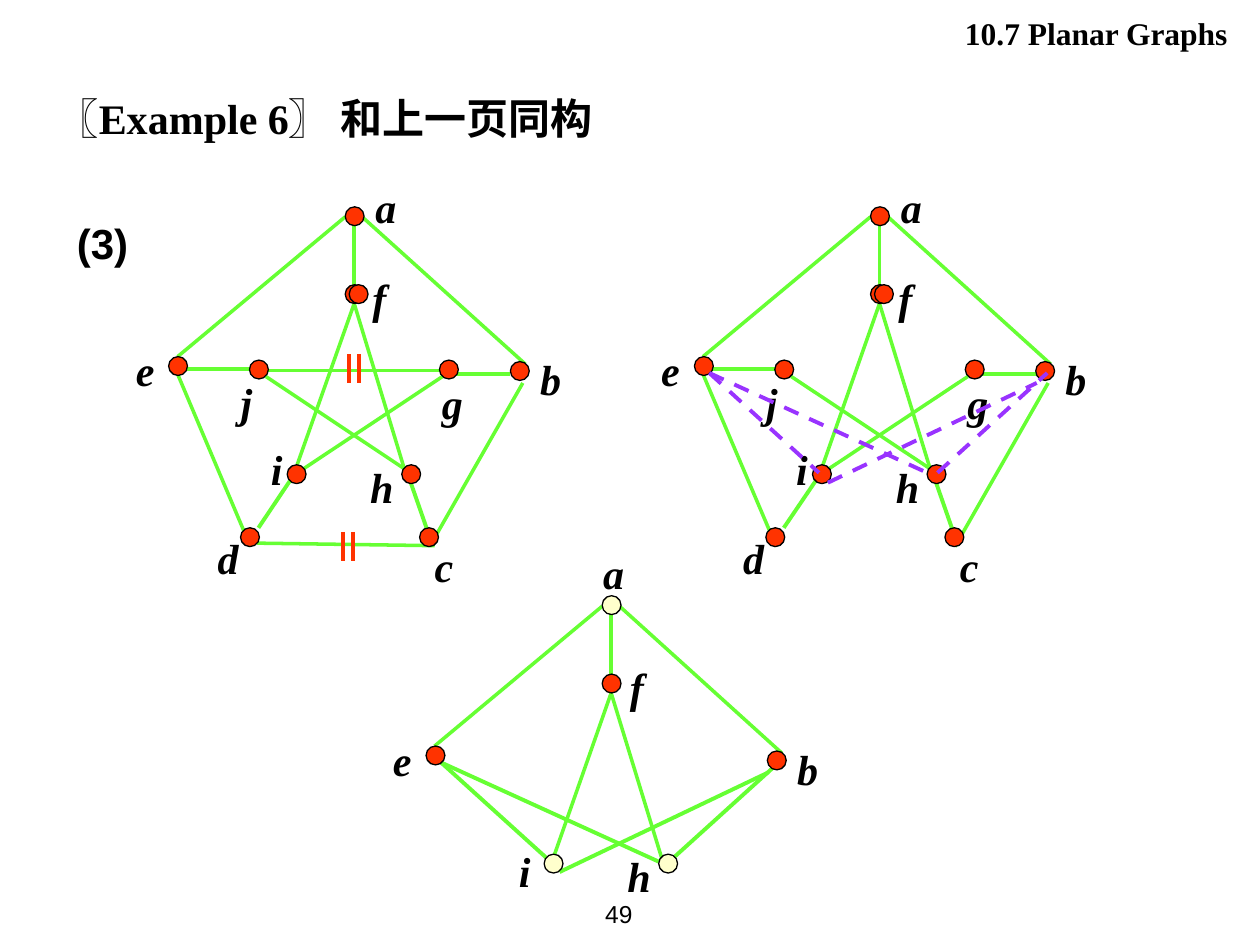
"""Build the slide that reduces a ten-node graph to K3,3."""
from lxml import etree
from pptx import Presentation
from pptx.dml.color import RGBColor
from pptx.enum.dml import MSO_LINE
from pptx.enum.shapes import MSO_CONNECTOR, MSO_SHAPE
from pptx.enum.text import MSO_ANCHOR, MSO_AUTO_SIZE, PP_ALIGN
from pptx.oxml.ns import qn
from pptx.util import Cm, Pt

DOT = MSO_SHAPE.FLOWCHART_CONNECTOR
LINE = MSO_CONNECTOR.STRAIGHT
DASH = MSO_LINE.DASH
NONE = MSO_AUTO_SIZE.NONE
TOP, MIDDLE = MSO_ANCHOR.TOP, MSO_ANCHOR.MIDDLE
LEFT, RIGHT = PP_ALIGN.LEFT, PP_ALIGN.RIGHT

BLACK = RGBColor(0, 0, 0)
RED = RGBColor(0xFF, 0x33, 0x00)
GREEN = RGBColor(0x66, 0xFF, 0x33)
PURPLE = RGBColor(0x99, 0x33, 0xFF)
CREAM = RGBColor(0xFF, 0xFF, 0xCC)
SERIF, SANS = "Times New Roman", "Arial"
INCH = 2.54
SIZE = 0.15

TITLE = [("〖", SANS), ("Example 6〗 和上一页同构", SERIF)]
NODES = {
    "f": (2.74, 2.26), "i": (2.28, 3.69), "h": (3.19, 3.69),
    "j": (1.98, 2.86), "g": (3.49, 2.86), "a": (2.74, 1.64),
    "e": (1.34, 2.83), "d": (1.91, 4.19), "c": (3.33, 4.19),
    "b": (4.05, 2.87),
}
TWIN = (2.77, 2.26)
NAMES = {
    "a": (2.88, 1.39), "b": (4.19, 2.76), "c": (3.35, 4.24),
    "d": (1.63, 4.18), "e": (0.98, 2.69), "f": (2.86, 2.11),
    "g": (3.41, 2.95), "h": (2.84, 3.61), "i": (2.05, 3.47),
    "j": (1.81, 2.94),
}
THIN = {
    "ed": (1.41, 2.97, 1.99, 4.34), "dc": (2.04, 4.31, 3.45, 4.33),
    "cb": (3.41, 4.34, 4.15, 3.04), "ba": (4.17, 2.89, 2.84, 1.69),
    "ea": (1.41, 2.83, 2.74, 1.72), "fi": (2.81, 2.41, 2.36, 3.69),
    "fh": (2.81, 2.41, 3.21, 3.72), "jg": (2.13, 2.94, 3.49, 2.94),
    "jh": (2.11, 2.99, 3.21, 3.72), "ig": (2.41, 3.72, 3.51, 2.99),
}
THICK = {
    "af": (2.81, 1.76, 2.81, 2.26), "ej": (1.41, 2.93, 2.13, 2.93),
    "id": (2.34, 3.76, 2.05, 4.19), "hc": (3.26, 3.83, 3.41, 4.26),
    "gb": (3.62, 2.97, 4.05, 2.97),
}
CROSS = {
    "ei": (1.46, 2.96, 2.33, 3.75), "hb": (3.27, 3.75, 4.14, 2.96),
    "eh": (1.46, 2.96, 3.19, 3.75), "ib": (2.4, 3.83, 4.06, 3.04),
}
TICKS = [(2.77, 2.81), (2.85, 2.81), (2.72, 4.22), (2.8, 4.22)]
GRAPHS = [
    {"at": (0, 0), "nodes": "fihjgaedcb", "twin": True},
    {"at": (4.17, 0), "nodes": "fihjgaedcb", "twin": True,
     "cut": ("jg", "dc"), "dash": True},
    {"at": (2.04, 3.09), "nodes": "fihaeb", "pale": "aih", "cross": True,
     "names": {"a": (2.65, 1.21), "i": (1.98, 3.57)}},
]


def cm(num):
    return Cm(round(num * INCH, 2))


def draw(slide, ends, move, color, width, dash=None):
    x, y = move
    x1, y1, x2, y2 = ends
    line = slide.shapes.add_connector(
        LINE, cm(x1 + x), cm(y1 + y), cm(x2 + x), cm(y2 + y))
    line.line.color.rgb = color
    line.line.width = Pt(width)
    if dash:
        line.line.dash_style = dash
    etree.SubElement(line._element.spPr, qn("a:effectLst"))


def dot(slide, spot, move, color):
    x, y = spot[0] + move[0], spot[1] + move[1]
    node = slide.shapes.add_shape(DOT, cm(x), cm(y), cm(SIZE), cm(SIZE))
    node.shadow.inherit = False
    node.fill.solid()
    node.fill.fore_color.rgb = color
    node.line.color.rgb = BLACK
    node.line.width = Pt(0.75)


def style(font, size, face, bold, slant=False):
    font.size, font.name = Pt(size), face
    font.bold, font.italic = bold, slant
    font.color.rgb = BLACK


def write(slide, text, box, size=24, face=SERIF, bold=True, slant=False,
          align=LEFT, anchor=TOP):
    frame = slide.shapes.add_textbox(*map(cm, box)).text_frame
    frame.word_wrap = True
    frame.vertical_anchor = anchor
    para = frame.paragraphs[0]
    para.text, para.alignment = text, align
    style(para.font, size, face, bold, slant)


def head(slide):
    title = slide.shapes.title
    title.left, title.top, title.width, title.height = map(
        cm, (0.35, 0.68, 9.14, 0.5))
    frame = title.text_frame
    frame.auto_size = NONE
    frame.vertical_anchor = TOP
    para = frame.paragraphs[0]
    para.alignment = LEFT
    for text, face in TITLE:
        run = para.add_run()
        run.text = text
        style(run.font, 24, face, True)


def graph(slide, data):
    move, nodes = data["at"], data["nodes"]
    cross = CROSS if data.get("cross") else {}
    for edges, width in ((THIN, 2), (THICK, 2.25), (cross, 2.25)):
        for pair, ends in edges.items():
            if set(pair) <= set(nodes) and pair not in data.get("cut", ()):
                draw(slide, ends, move, GREEN, width)
    names = {**NAMES, **data.get("names", {})}
    for key in nodes:
        pale = key in data.get("pale", "")
        dot(slide, NODES[key], move, CREAM if pale else RED)
        x, y = names[key]
        write(slide, key, (x + move[0], y + move[1], 0.5, 0.5), slant=True)
    if data.get("twin"):
        dot(slide, TWIN, move, RED)
    if data.get("dash"):
        for ends in CROSS.values():
            draw(slide, ends, move, PURPLE, 2.25, DASH)


def main():
    deck = Presentation()
    deck.slide_width, deck.slide_height = cm(10), cm(7.5)
    slide = deck.slides.add_slide(deck.slide_layouts[5])
    head(slide)
    write(slide, "(3)", (0.51, 1.68, 9.14, 0.5), face=SANS)
    for data in GRAPHS:
        graph(slide, data)
    for x, y in TICKS:
        draw(slide, (x, y, x, y + 0.23), (0, 0), RED, 2.25)
    write(slide, "10.7 Planar Graphs", (3.9, 0.06, 5.94, 0.4), 18,
          align=RIGHT)
    write(slide, "49", (4.45, 7, 0.67, 0.5), 14, SANS, False,
          align=RIGHT, anchor=MIDDLE)
    deck.save("out.pptx")


if __name__ == "__main__":
    main()
